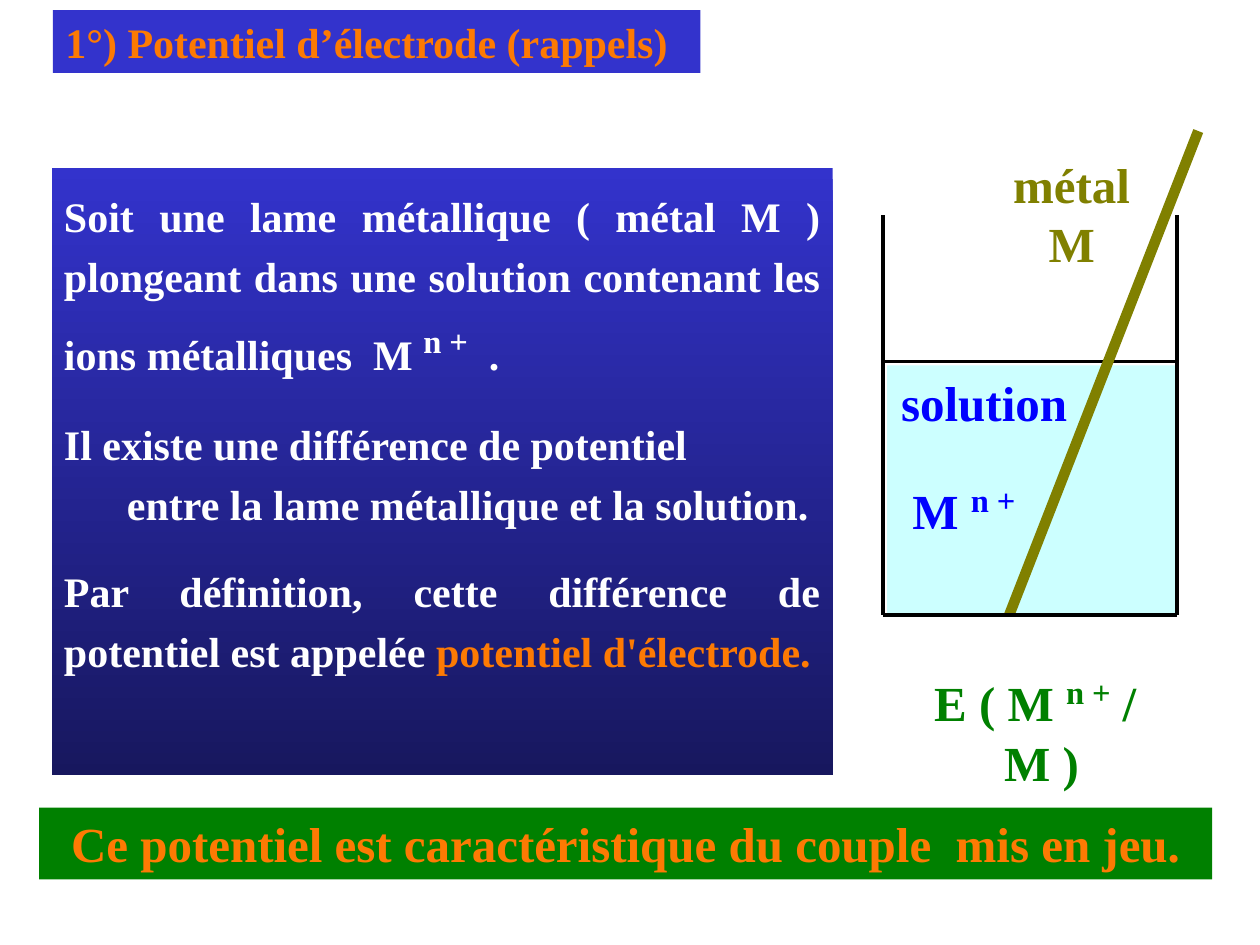
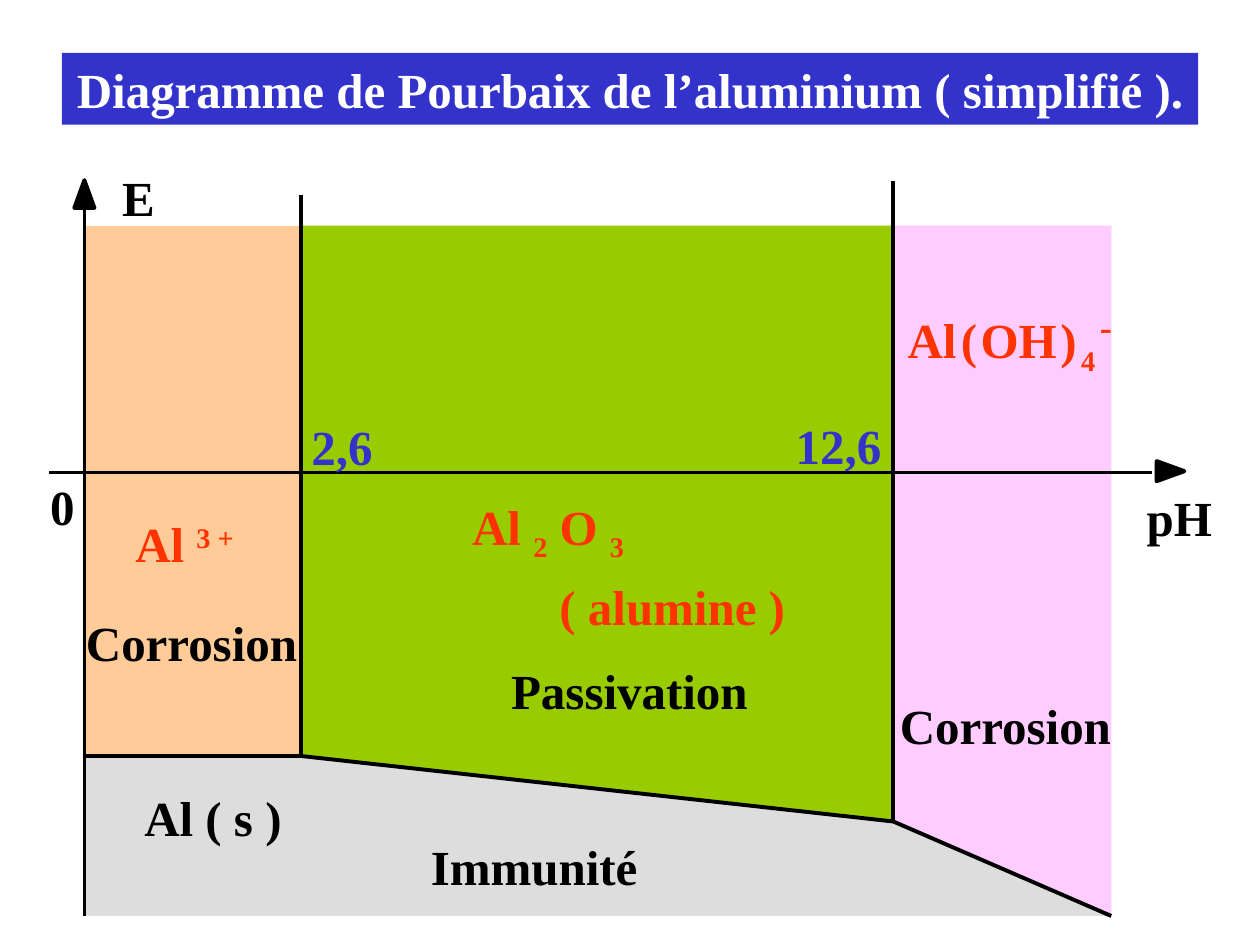
from collections import namedtuple

from lxml import etree
from pptx import Presentation
from pptx.dml.color import RGBColor
from pptx.enum.shapes import MSO_CONNECTOR, MSO_SHAPE
from pptx.enum.text import MSO_ANCHOR, PP_ALIGN
from pptx.oxml.ns import qn
from pptx.util import Inches, Pt

FONT = "Times New Roman"
COLORS = {
    "band": "3333CC",
    "band_dark": "17175E",
    "accent": "FD7A03",
    "white": "FFFFFF",
    "black": "000000",
    "couple": "008000",
    "metal": "808000",
    "ion": "0000FF",
    "water": "CCFFFF",
    "species": "FF3300",
    "acid": "FFCC99",
    "oxide": "99CC00",
    "basic": "FFCCFF",
    "immune": "DDDDDD",
}
SUPER = {"baseline": 30}
SUB = {"baseline": -25}
BIG_SUPER = {"baseline": 30, "size": 32}


class Box(namedtuple("Box", "left top width height")):
    def inner(self, dx, dy, width, height):
        return Box(self.left + dx, self.top + dy, width, height)

    def point(self, dx, dy):
        return Inches(self.left + dx), Inches(self.top + dy)

    def lengths(self):
        return [Inches(length) for length in self]


def rgb(name):
    return RGBColor.from_string(COLORS[name])


def write(paragraph, content, size=28, color="black", align=PP_ALIGN.CENTER,
          before=0, spacing=None, indent=0):
    paragraph.alignment = align
    paragraph.space_before = Pt(before)
    if spacing:
        paragraph.line_spacing = spacing
    if indent:
        paragraph._p.get_or_add_pPr().set("marL", str(Inches(indent)))
    pieces = [(content, {})] if isinstance(content, str) else content
    for words, style in pieces:
        run = paragraph.add_run()
        run.text = words
        run.font.name = FONT
        run.font.bold = True
        run.font.size = Pt(style.get("size", size))
        run.font.color.rgb = rgb(style.get("color", color))
        if "baseline" in style:
            run._r.get_or_add_rPr().set("baseline", str(style["baseline"] * 1000))


def set_frame(frame, side=0.1, edge=0.05, wrap=True):
    frame.word_wrap = wrap
    frame.vertical_anchor = MSO_ANCHOR.TOP
    frame.margin_left = frame.margin_right = Inches(side)
    frame.margin_top = frame.margin_bottom = Inches(edge)


def label(slide, box, content, side=0.1, edge=0.05, wrap=True, **style):
    frame = slide.shapes.add_textbox(*box.lengths()).text_frame
    set_frame(frame, side, edge, wrap)
    write(frame.paragraphs[0], content, **style)


def paint(shape, color):
    shape.shadow.inherit = False
    shape.fill.solid()
    shape.fill.fore_color.rgb = rgb(color)
    shape.line.fill.background()
    return shape


def block(slide, box, color, kind=MSO_SHAPE.RECTANGLE):
    return paint(slide.shapes.add_shape(kind, *box.lengths()), color)


def polygon(slide, box, corners, color):
    points = [box.point(*corner) for corner in corners]
    builder = slide.shapes.build_freeform(*points[0])
    builder.add_line_segments(points[1:], close=True)
    paint(builder.convert_to_shape(), color)


def line(slide, box, start, end, width=2.25, color="black"):
    connector = slide.shapes.add_connector(
        MSO_CONNECTOR.STRAIGHT, *box.point(*start), *box.point(*end))
    connector.line.color.rgb = rgb(color)
    connector.line.width = Pt(width)
    etree.SubElement(connector._element.spPr, qn("a:effectLst"))


def banner(slide, box, content, fill="band", **style):
    frame = block(slide, box, fill).text_frame
    set_frame(frame)
    write(frame.paragraphs[0], content, **style)


def explanation(slide, box):
    panel = block(slide, box, "band")
    panel.fill.gradient()
    panel.fill.gradient_angle = 270
    for stop, position, color in zip(panel.fill.gradient_stops, (0, 1),
                                     ("band", "band_dark")):
        stop.position = position
        stop.color.rgb = rgb(color)
    frame = panel.text_frame
    set_frame(frame, edge=0.1)
    justified = PP_ALIGN.JUSTIFY
    statements = [
        ([("Soit une lame métallique ( métal M ) plongeant dans une solution "
           "contenant les ions métalliques  M ", {}),
          ("n +", BIG_SUPER), ("  .", {})], {"align": justified}),
        ("Il existe une différence de potentiel",
         {"align": PP_ALIGN.LEFT, "before": 15}),
        ("entre la lame métallique et la solution.",
         {"align": PP_ALIGN.LEFT, "indent": 0.5}),
        ([("Par définition, cette différence de potentiel est appelée ", {}),
          ("potentiel d'électrode.", {"color": "accent"})],
         {"align": justified, "before": 15}),
    ]
    for index, (content, style) in enumerate(statements):
        paragraph = frame.add_paragraph() if index else frame.paragraphs[0]
        write(paragraph, content, size=24, color="white", spacing=1.2, **style)


def beaker(slide, box):
    right, bottom, level = box.width, box.height, 1.16
    block(slide, box.inner(0.03, level + 0.03, right - 0.03, bottom - level - 0.03),
          "water")
    for x in (0, right):
        line(slide, box, (x, 0), (x, bottom), width=2)
    line(slide, box, (0, level), (right, level), width=2)
    line(slide, box, (1, bottom), (2.5, -0.67), width=6, color="metal")
    line(slide, box, (0, bottom), (right, bottom), width=2)
    captions = [
        ((0.8, -0.48, 1.39, 0.47), "métal M", "metal"),
        ((0.14, 1.25, 1.32, 0.47), "solution", "ion"),
        ((0.23, 2.05, 0.82, 0.53), [("M ", {}), ("n +", BIG_SUPER)], "ion"),
        ((0.06, 3.57, 2.39, 0.53),
         [("E ( M ", {}), ("n +", BIG_SUPER), (" /  M )", {})], "couple"),
    ]
    for place, content, color in captions:
        label(slide, box.inner(*place), content, side=0, edge=0, wrap=False,
              color=color)


def pourbaix(slide, box):
    right, bottom = box.width, box.height
    acid_limit, basic_limit, zero = 1.72, 6.42, 1.96
    border = [(0, 4.21), (acid_limit, 4.21), (basic_limit, 4.73), (right, bottom)]
    for start, end, color in zip(border, border[1:], ("acid", "oxide", "basic")):
        polygon(slide, box, [(start[0], 0), (end[0], 0), end, start], color)
    polygon(slide, box, border + [(0, bottom)], "immune")
    for start, end in zip(border, border[1:]):
        line(slide, box, start, end)
    line(slide, box, border[1], (acid_limit, -0.24))
    line(slide, box, border[2], (basic_limit, -0.35))

    line(slide, box, (0, bottom), (0, -0.13), width=1.5)
    line(slide, box, (-0.28, zero), (8.47, zero), width=1.5)
    for place, angle in (((-0.08, -0.36), 0), ((8.54, zero - 0.12), 90)):
        tip = block(slide, box.inner(*place, 0.16, 0.22), "black",
                    MSO_SHAPE.ISOSCELES_TRIANGLE)
        tip.rotation = angle
        tip.line.color.rgb = rgb("black")
        tip.line.width = Pt(2.25)

    aluminate = [
        ("Al", {}), (" ", {"size": 10}), ("(", {}), (" ", {"size": 8}),
        ("OH", {}), (" ", {"size": 8}), (")", {}),
        (" ", {"size": 18, **SUB}), ("4", SUB),
        (" ", {"size": 18, **SUPER}), ("-", {"size": 36, **SUPER}),
    ]
    alumina = [("Al ", {}), ("2", SUB), (" O ", {}), ("3", SUB)]
    captions = [
        (0.2, -0.51, 0.46, "E", "black"),
        (8.05, 2.03, 1.28, "pH", "black"),
        (-0.44, 1.94, 0.53, "0", "black"),
        (1.43, 1.47, 1.23, "2,6", "band"),
        (5.37, 1.46, 1.23, "12,6", "band"),
        (0.18, 2.24, 1.23, [("Al ", {}), ("3 +", SUPER)], "species"),
        (2.72, 2.1, 1.92, alumina, "species"),
        (3.52, 2.74, 2.29, "( alumine )", "species"),
        (6.26, 0.51, 2.17, aluminate, "species"),
        (-0.22, 3.02, 2.14, "Corrosion", "black"),
        (3.13, 3.4, 2.39, "Passivation", "black"),
        (6.24, 3.68, 2.14, "Corrosion", "black"),
        (0.17, 4.41, 1.7, "Al ( s )", "black"),
        (2.09, 4.8, 2.96, "Immunité", "black"),
    ]
    for dx, dy, width, content, color in captions:
        label(slide, box.inner(dx, dy, width, 0.57), content, color=color)


def electrode_slide(slide):
    banner(slide, Box(0.42, 0.08, 5.14, 0.5), "1°) Potentiel d’électrode (rappels)",
           size=24, color="accent", align=PP_ALIGN.LEFT)
    explanation(slide, Box(0.41, 1.33, 6.2, 4.82))
    beaker(slide, Box(7.01, 1.71, 2.33, 3.17))
    banner(slide, Box(0.31, 6.41, 9.31, 0.57),
           "Ce potentiel est caractéristique du couple  mis en jeu.",
           fill="couple", color="accent")


def aluminium_slide(slide):
    banner(slide, Box(0.49, 0.42, 9.02, 0.57),
           "Diagramme de Pourbaix de l’aluminium ( simplifié ).", color="white")
    pourbaix(slide, Box(0.67, 1.79, 8.15, 5.48))


def main():
    deck = Presentation()
    deck.slide_width, deck.slide_height = Inches(10), Inches(7.5)
    for fill_slide in (electrode_slide, aluminium_slide):
        fill_slide(deck.slides.add_slide(deck.slide_layouts[6]))
    deck.save("out.pptx")


if __name__ == "__main__":
    main()
